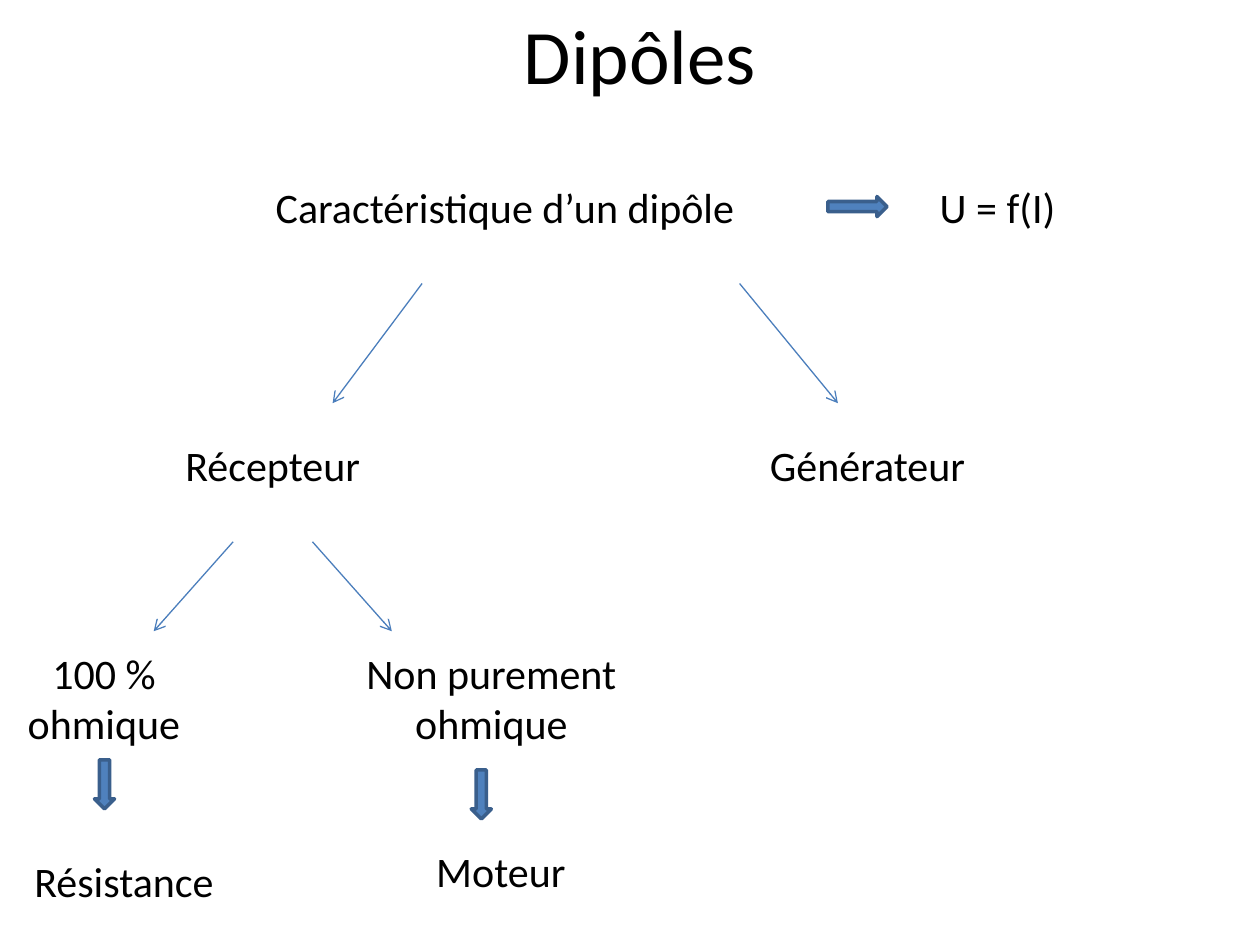
from lxml import etree
from pptx import Presentation
from pptx.dml.color import RGBColor
from pptx.enum.shapes import MSO_CONNECTOR as Connector, MSO_SHAPE as Shape
from pptx.enum.text import MSO_ANCHOR as Anchor, PP_ALIGN as Align
from pptx.oxml.ns import qn
from pptx.util import Inches, Pt

COLUMNS, ROWS = 100, 75
WIDTH, HEIGHT = Inches(10), Inches(7.5)
LABEL_ROWS = 5
TITLE_ROW, TOPIC_ROW, FAMILY_ROW, KIND_ROW = -2.4, 13.9, 34.4, 50.9


def grid(column, row):
    """Turn grid columns and rows into slide lengths."""
    return round(WIDTH * column / COLUMNS), round(HEIGHT * row / ROWS)


def paint(color_format, hex_color):
    color_format.rgb = RGBColor.from_string(hex_color)


def add_label(slide, words, column, row, columns, rows=LABEL_ROWS,
              size=24, align=Align.CENTER, anchor=Anchor.TOP):
    label = slide.shapes.add_textbox(*grid(column, row), *grid(columns, rows))
    frame = label.text_frame
    frame.word_wrap = True
    frame.vertical_anchor = anchor
    paragraph = frame.paragraphs[0]
    paragraph.alignment = align
    run = paragraph.add_run()
    run.text = words
    run.font.name = "Calibri"
    run.font.size = Pt(size)
    paint(run.font.color, "000000")


def add_branch(slide, start, end):
    """Draw a thin line that ends in an open arrowhead."""
    branch = slide.shapes.add_connector(
        Connector.STRAIGHT, *grid(*start), *grid(*end))
    branch.line.width = Pt(0.75)
    paint(branch.line.color, "4B7EBC")
    etree.SubElement(branch.line._get_or_add_ln(), qn("a:tailEnd"), type="arrow")
    etree.SubElement(branch._element.spPr, qn("a:effectLst"))


def add_block_arrow(slide, direction, column, row, columns, rows):
    arrow = slide.shapes.add_shape(
        direction, *grid(column, row), *grid(columns, rows))
    arrow.shadow.inherit = False
    arrow.fill.solid()
    paint(arrow.fill.fore_color, "4F81BD")
    paint(arrow.line.color, "3A5F8C")
    arrow.line.width = Pt(2)


def main():
    presentation = Presentation()
    presentation.slide_width, presentation.slide_height = WIDTH, HEIGHT
    slide = presentation.slides.add_slide(presentation.slide_layouts[6])

    add_label(slide, "Dipôles", 8.3, TITLE_ROW, 85, 13.4,
              size=44, anchor=Anchor.MIDDLE)

    add_label(slide, "Caractéristique d’un dipôle", 20.9, TOPIC_ROW, 45.7,
              align=Align.LEFT)
    add_block_arrow(slide, Shape.RIGHT_ARROW, 65.7, 15.6, 4.7, 1.6)
    add_label(slide, "U = f(I)", 73.6, TOPIC_ROW, 13.4, align=Align.LEFT)

    for start, end in ((33.5, 26.4), (58.7, 66.5)):
        add_branch(slide, (start, 22.5), (end, 32))
    add_label(slide, "Récepteur", 12.6, FAMILY_ROW, 18.1)
    add_label(slide, "Générateur", 59.4, FAMILY_ROW, 18.9)

    for start, end in ((18.5, 12.2), (24.8, 31.1)):
        add_branch(slide, (start, 43), (end, 50.1))
    add_label(slide, "100 % ohmique", 0, KIND_ROW, 16.5, 9.1)
    add_label(slide, "Non purement ohmique", 27.2, KIND_ROW, 23.6, 9.1)

    for column, row in ((7.5, 60.3), (37.4, 61.1)):
        add_block_arrow(slide, Shape.DOWN_ARROW, column, row, 1.6, 3.9)
    add_label(slide, "Résistance", 1.2, 67.4, 17.3)
    add_label(slide, "Moteur", 30.3, 66.6, 18.9)

    presentation.save("out.pptx")


if __name__ == "__main__":
    main()
